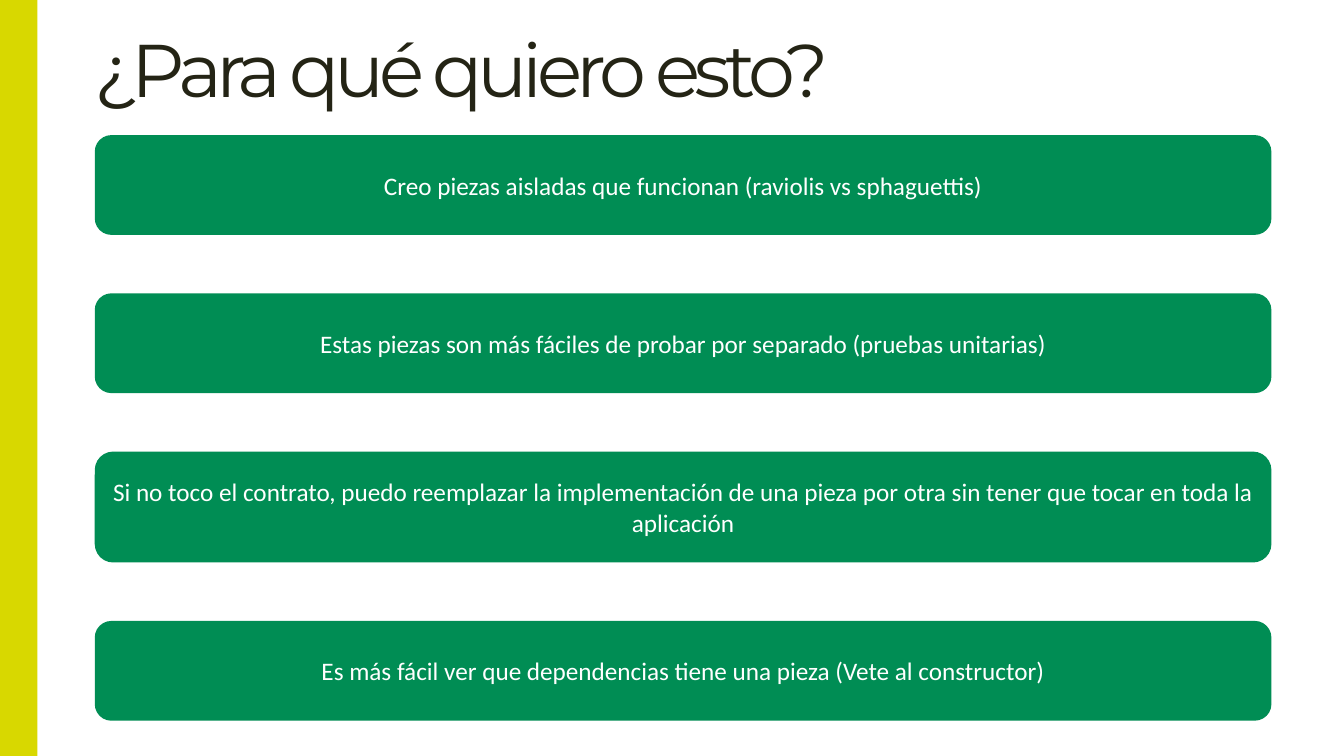
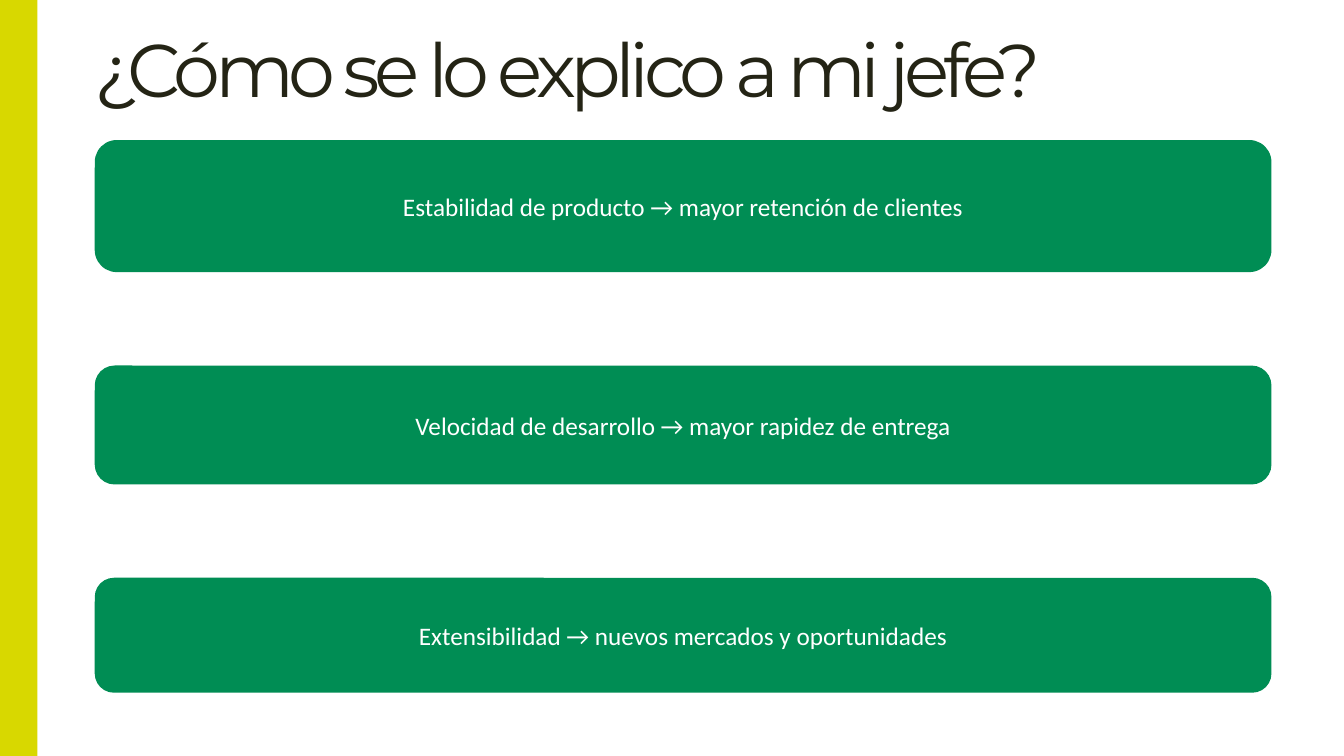
import pptx
import pptx.util
import pptx.dml.color
import pptx.enum.shapes
import pptx.enum.text

HUES = {"band": "D8D800", "card": "008D54", "title": "242415", "text": "FFFFFF", "page": "FFFFFF"}
WIDE, HIGH = pptx.util.Inches(13.33), pptx.util.Inches(7.5)
KINDS = pptx.enum.shapes.MSO_SHAPE
ALIGN = pptx.enum.text.PP_ALIGN
ANCHOR = pptx.enum.text.MSO_ANCHOR

# Lengths are percent of the slide: widths of WIDE, heights of HIGH.
LEFT = 7.05
BAND_W = 2.78
TITLE_W, TITLE_H = 90.15, 15.73
CARD_W = 87.55


def hue(name):
    return pptx.dml.color.RGBColor.from_string(HUES[name])


def frame(left, top, width, height):
    """Turn percent of the slide into lengths."""
    sides = ((left, WIDE), (top, HIGH), (width, WIDE), (height, HIGH))
    return [round(part * full / 100) for part, full in sides]


def write(box, text, face, size, color, align, anchor):
    body = box.text_frame
    body.word_wrap = True
    body.vertical_anchor = anchor
    body.text = text
    line = body.paragraphs[0]
    line.alignment = align
    font = line.runs[0].font
    font.name, font.size = face, pptx.util.Pt(size)
    font.color.rgb = hue(color)
    return line


def block(slide, kind, area, color):
    shape = slide.shapes.add_shape(kind, *frame(*area))
    shape.shadow.inherit = False
    shape.fill.solid()
    shape.fill.fore_color.rgb = hue(color)
    shape.line.fill.background()
    return shape


def title(slide, text):
    box = slide.shapes.add_textbox(*frame(LEFT, 0, TITLE_W, TITLE_H))
    box.text_frame.margin_left = 0
    line = write(box, text, "Montserrat", 53.3, "title", ALIGN.LEFT, ANCHOR.BOTTOM)
    line.line_spacing = 0.9
    line.runs[0].font._element.set("spc", "-400")


def cards(slide, top, gap, items):
    """Stack full-width cards, each with its own height, at an equal gap."""
    for text, height in items:
        card = block(slide, KINDS.ROUNDED_RECTANGLE, (LEFT, top, CARD_W, height), "card")
        write(card, text, "Calibri", 18, "text", ALIGN.CENTER, ANCHOR.MIDDLE)
        top += height + gap


def page(deck, head, top, gap, items):
    slide = deck.slides.add_slide(deck.slide_layouts[6])
    slide.background.fill.solid()
    slide.background.fill.fore_color.rgb = hue("page")
    title(slide, head)
    block(slide, KINDS.RECTANGLE, (0, 0, BAND_W, 100), "band")
    cards(slide, top, gap, items)


def main():
    deck = pptx.Presentation()
    deck.slide_width, deck.slide_height = WIDE, HIGH
    page(deck, "¿Para qué quiero esto?", 17.87, 7.73, [
        ("Creo piezas aisladas que funcionan (raviolis vs sphaguettis)", 13.2),
        ("Estas piezas son más fáciles de probar por separado (pruebas unitarias)", 13.2),
        ("Si no toco el contrato, puedo reemplazar la implementación de una pieza "
         "por otra sin tener que tocar en toda la aplicación", 14.67),
        ("Es más fácil ver que dependencias tiene una pieza (Vete al constructor)", 13.2),
    ])
    page(deck, "¿Cómo se lo explico a mi jefe?", 18.53, 12.35, [
        ("Estabilidad de producto → mayor retención de clientes", 17.47),
        ("Velocidad de desarrollo → mayor rapidez de entrega", 15.73),
        ("Extensibilidad → nuevos mercados y oportunidades", 15.2),
    ])
    deck.save("out.pptx")


if __name__ == "__main__":
    main()
